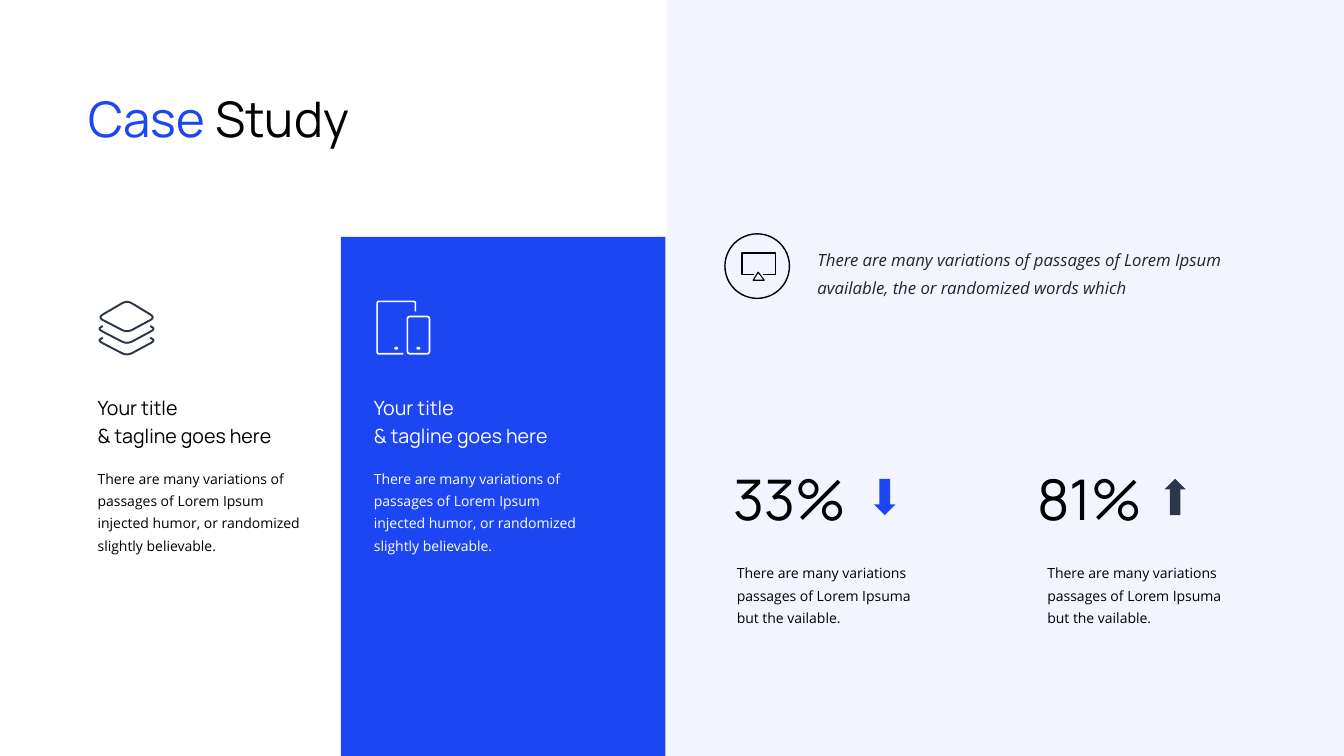
import math

import pptx
import pptx.dml.color
import pptx.enum.shapes
import pptx.enum.text
import pptx.oxml.ns
import pptx.util
from lxml import etree

Inches = pptx.util.Inches
Pt = pptx.util.Pt
RGBColor = pptx.dml.color.RGBColor
SHAPE = pptx.enum.shapes.MSO_SHAPE
ALIGN = pptx.enum.text.PP_ALIGN

BLUE = RGBColor(0x1C, 0x46, 0xF2)
SLATE = RGBColor(0x2D, 0x37, 0x4B)
CHARCOAL = RGBColor(0x26, 0x26, 0x26)
BLACK = RGBColor(0, 0, 0)
WHITE = RGBColor(0xFF, 0xFF, 0xFF)
HEADING, BODY = "Manrope", "Open Sans"

CARD_TITLE = ["Your title", "& tagline goes here"]
CARD_TEXT = ["There are many variations of passages of Lorem Ipsum "
             "injected humor, or randomized slightly believable."]
STAT_TEXT = ["There are many variations", "passages of Lorem Ipsuma", "but the vailable."]
QUOTE = ["There are many variations of passages of Lorem Ipsum "
         "available, the or randomized words which"]


def add_filled(page, kind, left, top, width, height, color):
    shape = page.shapes.add_shape(
        kind, Inches(left), Inches(top), Inches(width), Inches(height))
    shape.shadow.inherit = False
    shape.fill.solid()
    shape.fill.fore_color.rgb = color
    shape.line.fill.background()
    return shape


def set_alpha(shape, percent):
    color = shape.fill._xPr.find(".//" + pptx.oxml.ns.qn("a:srgbClr"))
    etree.SubElement(color, pptx.oxml.ns.qn("a:alpha"), val=str(percent * 1000))


def add_text(page, left, top, width, height, lines, font, size, color, spacing):
    box = page.shapes.add_textbox(
        Inches(left), Inches(top), Inches(width), Inches(height))
    frame = box.text_frame
    frame.word_wrap = True
    frame.auto_size = pptx.enum.text.MSO_AUTO_SIZE.SHAPE_TO_FIT_TEXT
    frame.text = "\n".join(lines)
    for para in frame.paragraphs:
        para.line_spacing = spacing
        para.font.name = font
        para.font.size = Pt(size)
        para.font.color.rgb = color
    return frame


def round_corners(points, cut, closed):
    """Replace each corner by a short curve that starts and ends `cut` away from it."""
    rounded = []
    for index, corner in enumerate(points):
        if not cut or (not closed and index in (0, len(points) - 1)):
            rounded.append(corner)
            continue
        ends = []
        for other in (points[index - 1], points[(index + 1) % len(points)]):
            share = min(cut / math.dist(corner, other), 0.5)
            ends.append([c + (o - c) * share for c, o in zip(corner, other)])
        for step in range(7):
            t = step / 6
            rounded.append([(1 - t) ** 2 * a + 2 * t * (1 - t) * c + t ** 2 * b
                            for a, c, b in zip(ends[0], corner, ends[1])])
    return rounded


def add_outline(page, left, top, points, color, weight, cut=0, closed=False):
    spots = [(Inches(left + x), Inches(top + y))
             for x, y in round_corners(points, cut, closed)]
    builder = page.shapes.build_freeform(*spots[0])
    builder.add_line_segments(spots[1:], close=closed)
    outline = builder.convert_to_shape()
    outline.shadow.inherit = False
    outline.fill.background()
    outline.line.color.rgb = color
    outline.line.width = Pt(weight)


def add_layers_icon(page, left, top, color):
    diamond = [(0.27, 0), (0.55, 0.17), (0.27, 0.32), (-0.02, 0.17)]
    add_outline(page, left, top, diamond, color, 1.4, 0.06, True)
    chevron = [(0.03, 0.14), (-0.02, 0.17), (0.27, 0.32), (0.55, 0.17), (0.5, 0.14)]
    for layer in (1, 2):
        add_outline(page, left, top + 0.115 * layer, chevron, color, 1.4, 0.06)


def add_devices_icon(page, left, top, color):
    tablet = [(0.39, 0.11), (0.39, 0.01), (0.01, 0.01), (0.01, 0.53), (0.27, 0.53)]
    add_outline(page, left, top, tablet, color, 1.2, 0.02)
    phone = [(0.31, 0.16), (0.53, 0.16), (0.53, 0.53), (0.31, 0.53)]
    add_outline(page, left, top, phone, color, 1.2, 0.03, True)
    for x in (0.18, 0.4):
        add_filled(page, SHAPE.OVAL, left + x, top + 0.46, 0.04, 0.03, color)


def add_screen_icon(page, left, top, color):
    ring = add_filled(page, SHAPE.OVAL, left, top, 0.64, 0.64, color)
    ring.fill.background()
    ring.line.color.rgb = color
    ring.line.width = Pt(1)
    screen = [(0.29, 0.4), (0.17, 0.4), (0.17, 0.19), (0.5, 0.19), (0.5, 0.4), (0.38, 0.4)]
    add_outline(page, left, top, screen, color, 0.8)
    stand = [(0.28, 0.46), (0.33, 0.38), (0.39, 0.46)]
    add_outline(page, left, top, stand, color, 0.8, closed=True)


def add_title(page, left, top):
    frame = add_text(page, left, top, 3.67, 0.71, [""], HEADING, 35, BLACK, Pt(45))
    para = frame.paragraphs[0]
    for words, color in (("Case", BLUE), (" Study", BLACK)):
        span = para.add_run()
        span.text = words
        span.font.color.rgb = color


def add_card(page, left, top, add_icon, icon_color, text_color):
    add_icon(page, left + 0.12, top, icon_color)
    add_text(page, left, top + 0.85, 2.36, 0.66, CARD_TITLE, HEADING, 14, text_color, Pt(20))
    add_text(page, left, top + 1.58, 2.25, 0.98, CARD_TEXT, BODY, 10, text_color, Pt(16))


def add_quote(page, left, top):
    add_screen_icon(page, left, top, BLACK)
    frame = add_text(page, left + 0.82, top + 0.03, 4.27, 0.64, QUOTE,
                     BODY, 12, CHARCOAL, Pt(20))
    frame.paragraphs[0].font.italic = True


def add_stat(page, left, top, figure, align, arrow_left, arrow_color, rising, text_left):
    frame = add_text(page, left, top, 1.49, 0.61, [figure], HEADING, 40, BLACK, 0.9)
    frame.margin_left = frame.margin_right = frame.margin_top = frame.margin_bottom = 0
    frame.vertical_anchor = pptx.enum.text.MSO_ANCHOR.MIDDLE
    frame.paragraphs[0].alignment = align
    arrow = add_filled(page, SHAPE.DOWN_ARROW, left + arrow_left, top + 0.07,
                       0.21, 0.36, arrow_color)
    arrow.rotation = 180 if rising else 0
    add_text(page, left + text_left, top + 0.82, 2.1, 0.75, STAT_TEXT, BODY, 10, BLACK, Pt(16))


def build_case_study(deck):
    page = deck.slides.add_slide(deck.slide_layouts[6])
    add_filled(page, SHAPE.RECTANGLE, 3.38, 2.35, 3.22, 5.15, BLUE)
    set_alpha(add_filled(page, SHAPE.RECTANGLE, 6.61, 0, 6.72, 7.5, BLUE), 5)
    add_title(page, 0.78, 0.79)
    add_card(page, 0.87, 2.98, add_layers_icon, SLATE, BLACK)
    add_card(page, 3.61, 2.98, add_devices_icon, WHITE, WHITE)
    add_quote(page, 7.19, 2.32)
    add_stat(page, 7.09, 4.68, "33%", ALIGN.CENTER, 1.58, BLUE, False, 0.12)
    add_stat(page, 10.29, 4.68, "81%", ALIGN.LEFT, 1.26, SLATE, True, 0)


def main():
    deck = pptx.Presentation()
    deck.slide_width = Inches(13.33)
    deck.slide_height = Inches(7.5)
    build_case_study(deck)
    deck.save("out.pptx")


if __name__ == "__main__":
    main()
